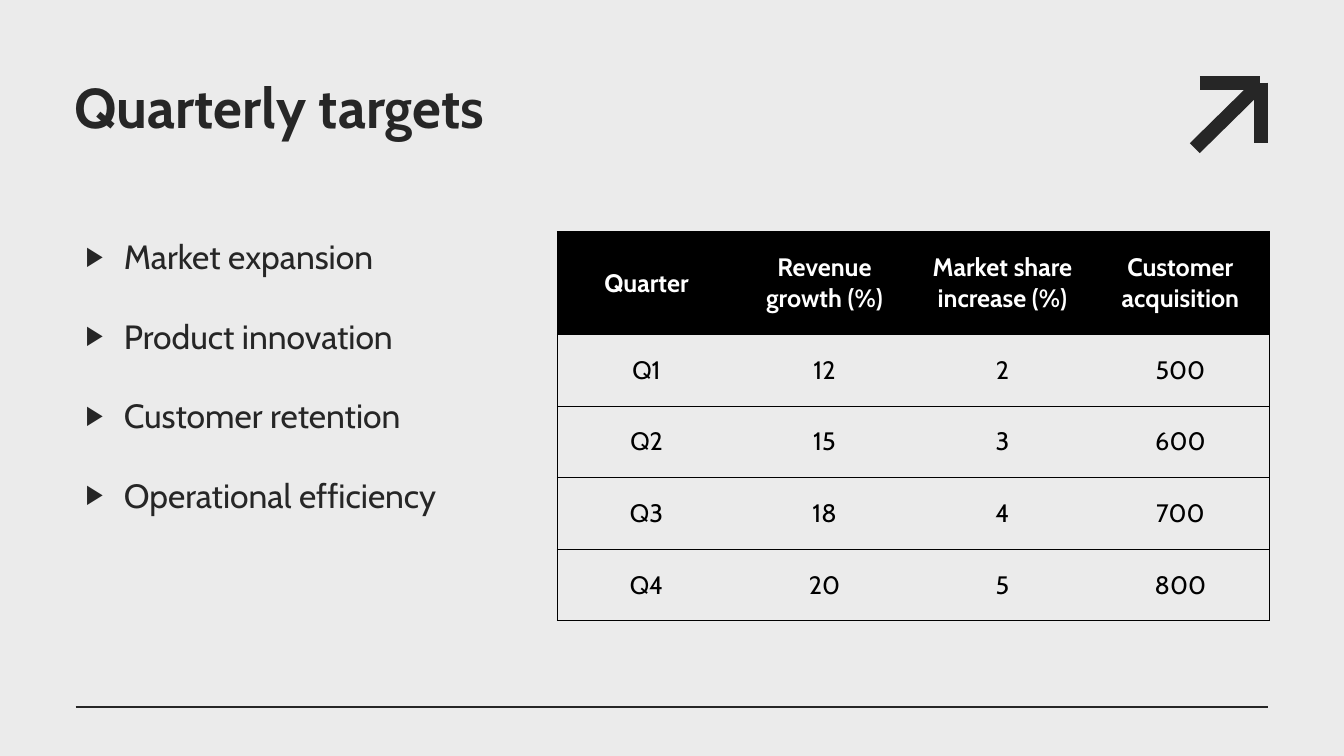
from dataclasses import dataclass

from lxml import etree
from pptx import Presentation
from pptx.dml.color import RGBColor
from pptx.enum.shapes import MSO_CONNECTOR
from pptx.enum.text import MSO_ANCHOR, PP_ALIGN
from pptx.oxml.ns import qn
from pptx.util import Inches, Pt

STRAIGHT = MSO_CONNECTOR.STRAIGHT
CENTER = PP_ALIGN.CENTER
TOP = MSO_ANCHOR.TOP
MIDDLE = MSO_ANCHOR.MIDDLE

FONT = "Cabin"
COLORS = {
    "background": "EBEBEB",
    "ink": "262626",
    "black": "000000",
    "white": "FFFFFF",
}


@dataclass(frozen=True)
class Line:
    x1: float
    y1: float
    x2: float
    y2: float
    width: float


@dataclass(frozen=True)
class Box:
    left: float
    top: float
    width: float
    height: float


@dataclass(frozen=True)
class TextStyle:
    size: float
    color: str
    bold: bool = False


LINES = [
    Line(11.9, 0.82, 12.5, 0.82, 10),
    Line(12.51, 0.82, 12.51, 1.42, 10),
    Line(11.85, 1.47, 12.44, 0.89, 10),
    Line(0.75, 7.01, 12.58, 7.01, 1.5),
]
TITLE_BOX = Box(0.74, 0.76, 11, 1.4)
TITLE_STYLE = TextStyle(40, "ink", True)
GOALS_BOX = Box(0.75, 2.34, 4.15, 3.82)
GOALS_STYLE = TextStyle(24, "ink")
GOALS = [
    "Market expansion",
    "Product innovation",
    "Customer retention",
    "Operational efficiency",
]
TABLE_BOX = Box(5.53, 2.3, 7.06, 3.86)
HEADER_HEIGHT = 1.02
HEADER_STYLE = TextStyle(18, "white", True)
VALUE_STYLE = TextStyle(18, "black")
TARGETS = [
    ["Quarter", "Revenue growth (%)", "Market share increase (%)", "Customer acquisition"],
    ["Q1", "12", "2", "500"],
    ["Q2", "15", "3", "600"],
    ["Q3", "18", "4", "700"],
    ["Q4", "20", "5", "800"],
]


def rgb(name: str) -> RGBColor:
    return RGBColor.from_string(COLORS[name])


def add_run(paragraph, text: str, style: TextStyle) -> None:
    run = paragraph.add_run()
    run.text = text
    run.font.name = FONT
    run.font.size = Pt(style.size)
    run.font.bold = style.bold
    run.font.color.rgb = rgb(style.color)


def add_line(slide, line: Line) -> None:
    connector = slide.shapes.add_connector(
        STRAIGHT, Inches(line.x1), Inches(line.y1), Inches(line.x2), Inches(line.y2)
    )
    connector.line.width = Pt(line.width)
    connector.line.color.rgb = rgb("ink")
    etree.SubElement(connector._element.spPr, qn("a:effectLst"))


def add_text_frame(slide, box: Box, left_inset: float, bottom_inset: float):
    shape = slide.shapes.add_textbox(
        Inches(box.left), Inches(box.top), Inches(box.width), Inches(box.height)
    )
    frame = shape.text_frame
    frame.word_wrap = True
    frame.vertical_anchor = TOP
    frame.margin_left = Inches(left_inset)
    frame.margin_bottom = Inches(bottom_inset)
    frame.margin_top = frame.margin_right = 0
    return frame


def add_title(slide) -> None:
    paragraph = add_text_frame(slide, TITLE_BOX, 0, 0.1).paragraphs[0]
    paragraph.line_spacing = Pt(45)
    add_run(paragraph, "Quarterly targets", TITLE_STYLE)


def set_bullet(paragraph) -> None:
    properties = paragraph._p.get_or_add_pPr()
    properties.set("marL", str(Inches(0.38)))
    properties.set("indent", str(Inches(-0.38)))
    color = etree.SubElement(properties, qn("a:buClr"))
    etree.SubElement(color, qn("a:srgbClr"), val=COLORS["ink"])
    etree.SubElement(properties, qn("a:buSzPct"), val="80000")
    etree.SubElement(properties, qn("a:buFont"), typeface="Arial")
    etree.SubElement(properties, qn("a:buChar"), char="▶")


def add_goals(slide) -> None:
    frame = add_text_frame(slide, GOALS_BOX, 0.1, 0)
    for index, goal in enumerate(GOALS):
        paragraph = frame.add_paragraph() if index else frame.paragraphs[0]
        paragraph.space_before = Pt(28)
        set_bullet(paragraph)
        add_run(paragraph, goal, GOALS_STYLE)


def set_borders(cell, left: bool, right: bool) -> None:
    properties = cell._tc.get_or_add_tcPr()
    sides = {"a:lnL": left, "a:lnR": right, "a:lnT": True, "a:lnB": True}
    for tag, visible in sides.items():
        border = etree.SubElement(properties, qn(tag), w=str(Pt(1)))
        if visible:
            fill = etree.SubElement(border, qn("a:solidFill"))
            etree.SubElement(fill, qn("a:srgbClr"), val=COLORS["black"])
        else:
            etree.SubElement(border, qn("a:noFill"))


def add_targets(slide) -> None:
    row_count, column_count = len(TARGETS), len(TARGETS[0])
    table = slide.shapes.add_table(
        row_count, column_count, Inches(TABLE_BOX.left), Inches(TABLE_BOX.top),
        Inches(TABLE_BOX.width), Inches(TABLE_BOX.height),
    ).table
    table.first_row = False
    table.horz_banding = False
    for column in table.columns:
        column.width = Inches(TABLE_BOX.width / column_count)
    value_height = (TABLE_BOX.height - HEADER_HEIGHT) / (row_count - 1)
    for row_index, values in enumerate(TARGETS):
        is_header = row_index == 0
        table.rows[row_index].height = Inches(HEADER_HEIGHT if is_header else value_height)
        for column_index, value in enumerate(values):
            cell = table.cell(row_index, column_index)
            cell.vertical_anchor = MIDDLE
            set_borders(cell, column_index == 0, column_index == column_count - 1)
            if is_header:
                cell.fill.solid()
                cell.fill.fore_color.rgb = rgb("black")
            else:
                cell.fill.background()
            paragraph = cell.text_frame.paragraphs[0]
            paragraph.alignment = CENTER
            add_run(paragraph, value, HEADER_STYLE if is_header else VALUE_STYLE)


def main() -> None:
    presentation = Presentation()
    presentation.slide_width = Inches(13.33)
    presentation.slide_height = Inches(7.5)
    slide = presentation.slides.add_slide(presentation.slide_layouts[6])
    slide.background.fill.solid()
    slide.background.fill.fore_color.rgb = rgb("background")
    for line in LINES:
        add_line(slide, line)
    add_title(slide)
    add_goals(slide)
    add_targets(slide)
    presentation.save("out.pptx")


if __name__ == "__main__":
    main()
